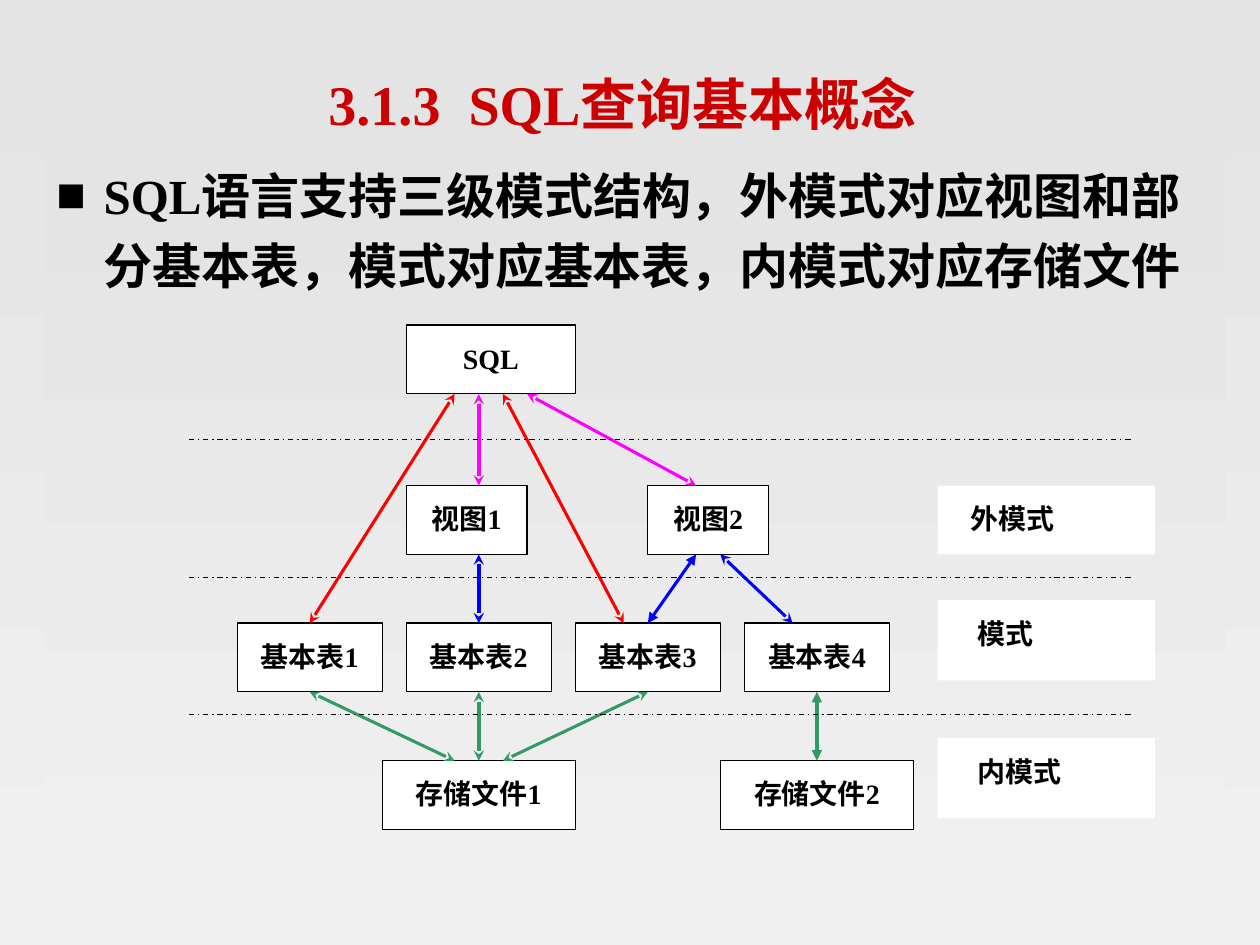
from lxml.etree import SubElement as Sub
from pptx import Presentation
from pptx.dml.color import RGBColor
from pptx.enum.dml import MSO_LINE as Dash
from pptx.enum.shapes import MSO_CONNECTOR as Conn, MSO_SHAPE as Shape
from pptx.enum.text import MSO_ANCHOR as Anchor, PP_ALIGN as Align
from pptx.oxml.ns import qn
from pptx.util import Pt

FONT = "Times New Roman"
PINK, RED, BLUE, GREEN = "FF00FF", "FF0000", "0000FF", "339966"
ROWS = [
    (0, [(9, 7, "SQL")]),
    (7, [(9, 5, "视图1"), (19, 5, "视图2")]),
    (13, [(2 + 7 * i, 6, f"基本表{i + 1}") for i in range(4)]),
    (19, [(8, 8, "存储文件1"), (22, 8, "存储文件2")]),
]
LABELS = [(7, 3, 19, "外模式"), (12, 3.5, 23, "模式"), (18, 3.5, 23, "内模式")]
ARROWS = [
    (12, 3, 12, 7, PINK, "stealth"),
    (11, 3, 5, 13, RED, "stealth"),
    (14, 3, 21, 7, PINK, "stealth"),
    (12, 10, 12, 13, BLUE, "stealth"),
    (12, 16, 12, 19, GREEN, "stealth"),
    (21, 10, 19, 13, BLUE, "triangle"),
    (22, 10, 25, 13, BLUE, "stealth"),
    (26, 16, 26, 19, GREEN, "triangle"),
    (5, 16, 11, 19, GREEN, "stealth"),
    (19, 16, 13, 19, GREEN, "stealth"),
    (13, 3, 18, 13, RED, "stealth"),
]


def color(code):
    """Turn a hex string into a colour."""
    return RGBColor.from_string(code)


def shade(fill):
    """Apply the vertical grey gradient."""
    fill.gradient()
    fill.gradient_angle = 270
    for stop, code in zip(fill.gradient_stops, ("E4E4E4", "F0F0F0")):
        stop.color.rgb = color(code)


def write(shape, text, size, code="000000", align=Align.LEFT, space=1.0):
    """Put one bold paragraph into a shape."""
    frame = shape.text_frame
    frame.word_wrap = True
    frame.text = text
    para = frame.paragraphs[0]
    para.alignment = align
    para.line_spacing = space
    font = para.runs[0].font
    font.name, font.size, font.bold = FONT, Pt(size), True
    font.color.rgb = color(code)
    return para


def block(slide, x, y, w, h, border=False):
    """Add a white rectangle with its text at the top."""
    rect = slide.shapes.add_shape(Shape.RECTANGLE, Pt(x), Pt(y), Pt(w), Pt(h))
    rect.shadow.inherit = False
    rect.fill.solid()
    rect.fill.fore_color.rgb = color("FFFFFF")
    if border:
        rect.line.color.rgb = color("000000")
        rect.line.width = Pt(0.75)
    else:
        rect.line.fill.background()
    rect.text_frame.vertical_anchor = Anchor.TOP
    return rect


def link(slide, x1, y1, x2, y2, code, width):
    """Add a straight line without a shadow."""
    line = slide.shapes.add_connector(Conn.STRAIGHT, Pt(x1), Pt(y1), Pt(x2), Pt(y2))
    line.line.color.rgb = color(code)
    line.line.width = Pt(width)
    Sub(line._element.spPr, qn("a:effectLst"))
    return line


def title(slide, x, y, w, h):
    """Place the heading."""
    box = slide.shapes.add_textbox(Pt(x), Pt(y), Pt(w), Pt(h))
    box.text_frame.vertical_anchor = Anchor.MIDDLE
    box.text_frame.margin_right = Pt(15.2)
    write(box, "3.1.3  SQL查询基本概念", 32, "CC0000", Align.CENTER)


def body(slide, x, y, w, h):
    """Place the shaded panel with its bullet."""
    panel = block(slide, x, y, w, h)
    shade(panel.fill)
    text = "SQL语言支持三级模式结构，外模式对应视图和部分基本表，模式对应基本表，内模式对应存储文件"
    props = write(panel, text, 28, space=1.2)._p.get_or_add_pPr()
    props.set("marL", str(Pt(27)))
    props.set("indent", str(Pt(-27)))
    tint = Sub(props, qn("a:buClr"))
    Sub(tint, qn("a:srgbClr"), val="000000")
    Sub(props, qn("a:buFont"), typeface=FONT)
    Sub(props, qn("a:buChar"), char="■")


def levels(slide, x, y, w, h):
    """Draw the schema levels on a grid of 40 by 22 cells."""
    dx, dy = w / 40, h / 22
    for top, row in ROWS:
        for left, span, text in row:
            rect = block(slide, x + left * dx, y + top * dy, span * dx, 3 * dy, True)
            write(rect, text, 16, align=Align.CENTER, space=1.3)
    for x1, y1, x2, y2, code, tip in ARROWS:
        width = 2 if x1 == x2 else 1.75
        arrow = link(slide, x + x1 * dx, y + y1 * dy, x + x2 * dx, y + y2 * dy, code, width)
        for end in ("a:headEnd", "a:tailEnd"):
            Sub(arrow.line._get_or_add_ln(), qn(end), type=tip)
    for row in (5, 11, 17):
        rule = link(slide, x, y + row * dy, x + 39 * dx, y + row * dy, "000000", 0.75)
        rule.line.dash_style = Dash.DASH_DOT
    for top, tall, inset, text in LABELS:
        rect = block(slide, x + 31 * dx, y + top * dy, 9 * dx, tall * dy)
        rect.text_frame.margin_left = Pt(inset)
        write(rect, text, 16, space=1.3)


def main():
    """Build the slide and save it."""
    deck = Presentation()
    deck.slide_width, deck.slide_height = Pt(720), Pt(540)
    slide = deck.slides.add_slide(deck.slide_layouts[6])
    shade(slide.background.fill)
    body(slide, 25.2, 84.2, 674.6, 432)
    title(slide, 54, 34.6, 612, 48.2)
    levels(slide, 108, 185.8, 552, 288.2)
    deck.save("out.pptx")


if __name__ == "__main__":
    main()
